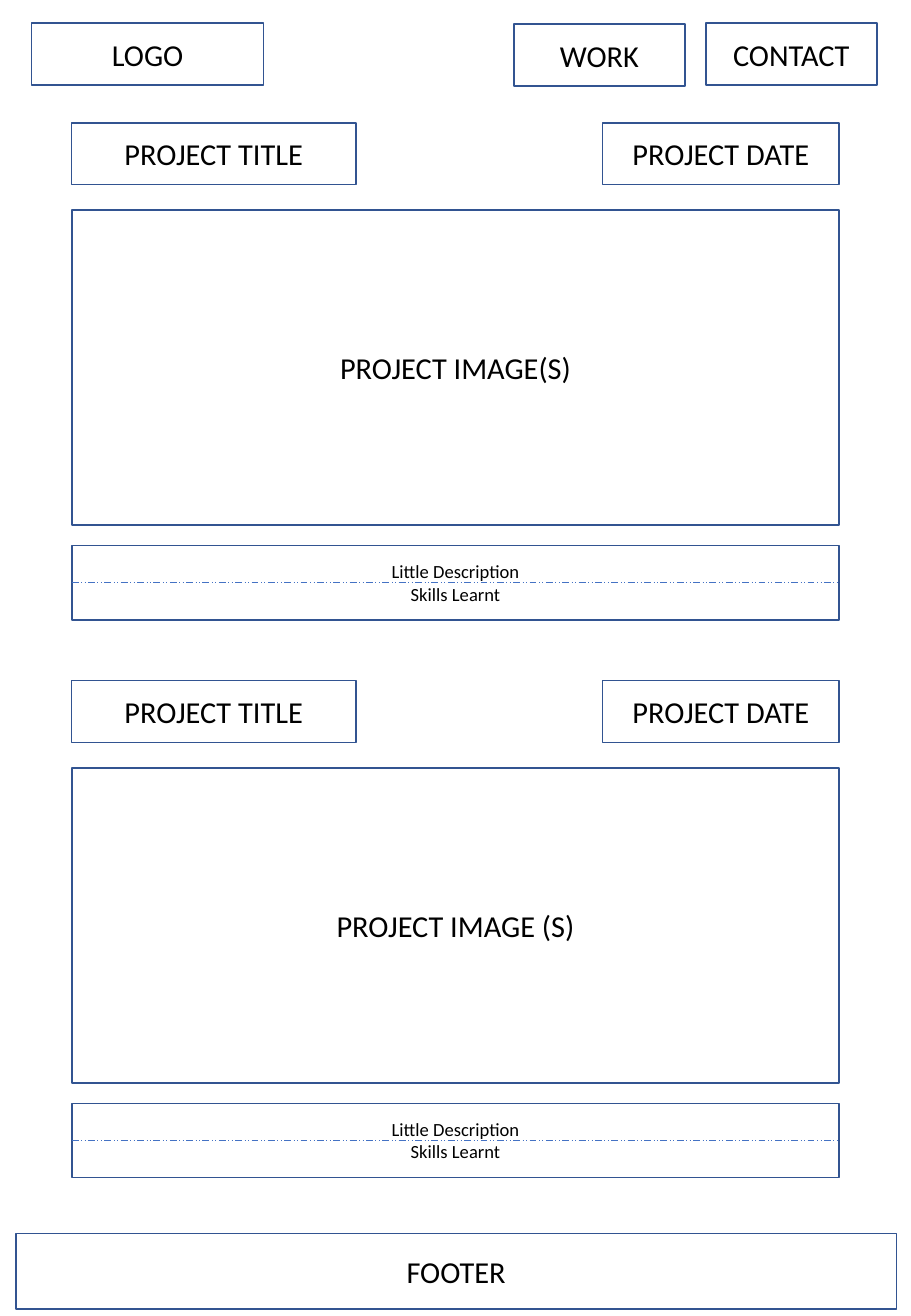
from dataclasses import dataclass

from lxml import etree
from pptx import Presentation
from pptx.dml.color import RGBColor
from pptx.enum.dml import MSO_LINE
from pptx.enum.shapes import MSO_CONNECTOR, MSO_SHAPE
from pptx.enum.text import MSO_ANCHOR, PP_ALIGN
from pptx.oxml.ns import qn
from pptx.util import Inches, Pt

RECT = MSO_SHAPE.RECTANGLE
STRAIGHT = MSO_CONNECTOR.STRAIGHT
DASH = MSO_LINE.DASH_DOT_DOT
CENTER = PP_ALIGN.CENTER
MIDDLE = MSO_ANCHOR.MIDDLE


@dataclass(frozen=True)
class Theme:
    font: str = "Calibri"
    label: int = 18
    note: int = 11
    ink: RGBColor = RGBColor(0x00, 0x00, 0x00)
    edge: RGBColor = RGBColor(0x32, 0x54, 0x91)
    rule: RGBColor = RGBColor(0x44, 0x72, 0xC4)


theme = Theme()
deck = Presentation()
deck.slide_width = Inches(7.5)
deck.slide_height = Inches(10.83)
slide = deck.slides.add_slide(deck.slide_layouts[6])


def add_box(text, left, top, width, height, size=theme.label):
    """Draw an outlined, unfilled box with centred text."""
    box = slide.shapes.add_shape(
        RECT, Inches(left), Inches(top), Inches(width), Inches(height))
    box.shadow.inherit = False
    box.fill.background()
    box.line.color.rgb = theme.edge
    box.line.width = Pt(1)
    frame = box.text_frame
    frame.text = text
    frame.word_wrap = True
    frame.vertical_anchor = MIDDLE
    for para in frame.paragraphs:
        para.alignment = CENTER
        para.font.name = theme.font
        para.font.size = Pt(size)
        para.font.color.rgb = theme.ink


# Header and footer
bar = 0.51
add_box("LOGO", 0.26, 0.19, 1.91, bar)
add_box("CONTACT", 5.81, 0.19, 1.41, bar)
add_box("WORK", 4.23, 0.2, 1.41, bar)
add_box("FOOTER", 0.13, 10.15, 7.25, 0.62)

# Project sections
left, width = 0.59, 6.32
date = 1.95
note = 0.61
for top, image in ((1.01, "PROJECT IMAGE(S)"), (5.6, "PROJECT IMAGE (S)")):
    add_box("PROJECT TITLE", left, top, 2.34, bar)
    add_box("PROJECT DATE", left + width - date, top, date, bar)
    add_box(image, left, top + 0.72, width, 2.59)
    add_box("Little Description\nSkills Learnt",
            left, top + 3.48, width, note, theme.note)

    mid = Inches(top + 3.48 + note / 2)
    rule = slide.shapes.add_connector(
        STRAIGHT, Inches(left), mid, Inches(left + width), mid)
    rule.line.color.rgb = theme.rule
    rule.line.width = Pt(0.5)
    rule.line.dash_style = DASH
    etree.SubElement(rule._element.spPr, qn("a:effectLst"))

deck.save("out.pptx")
